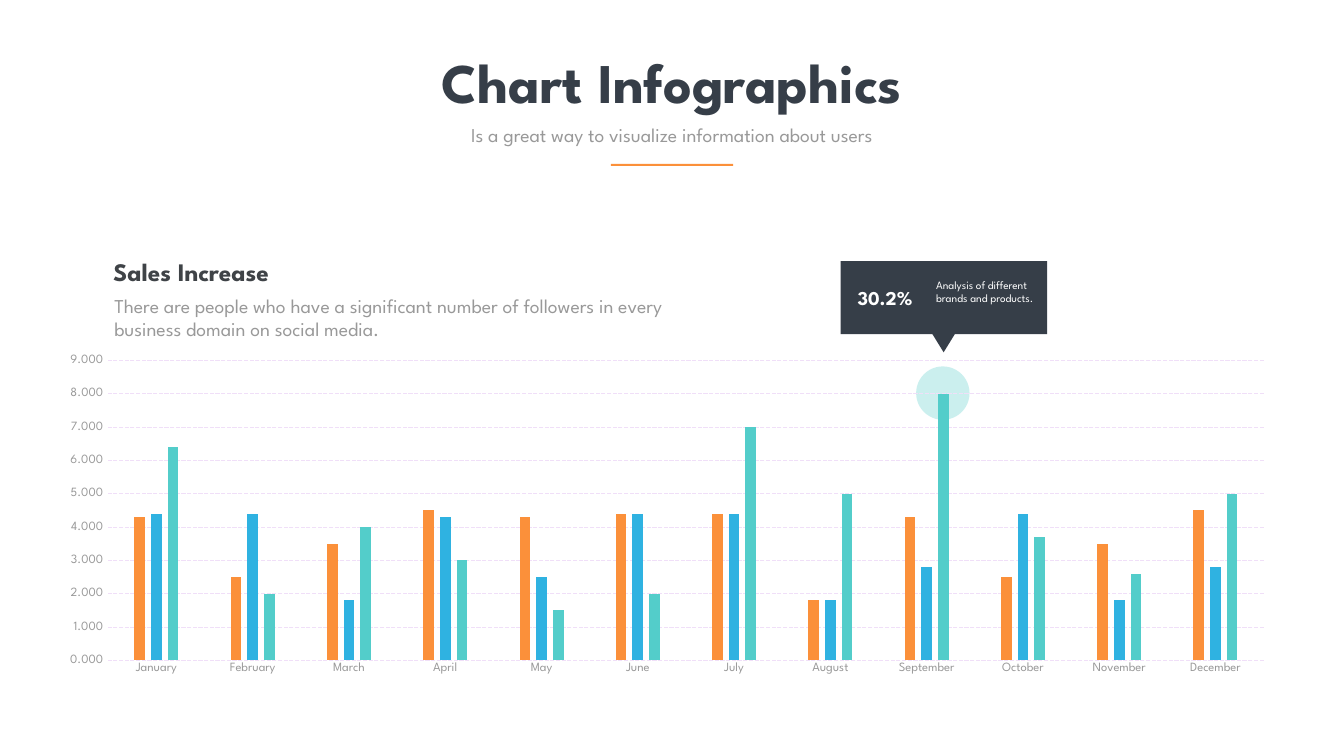
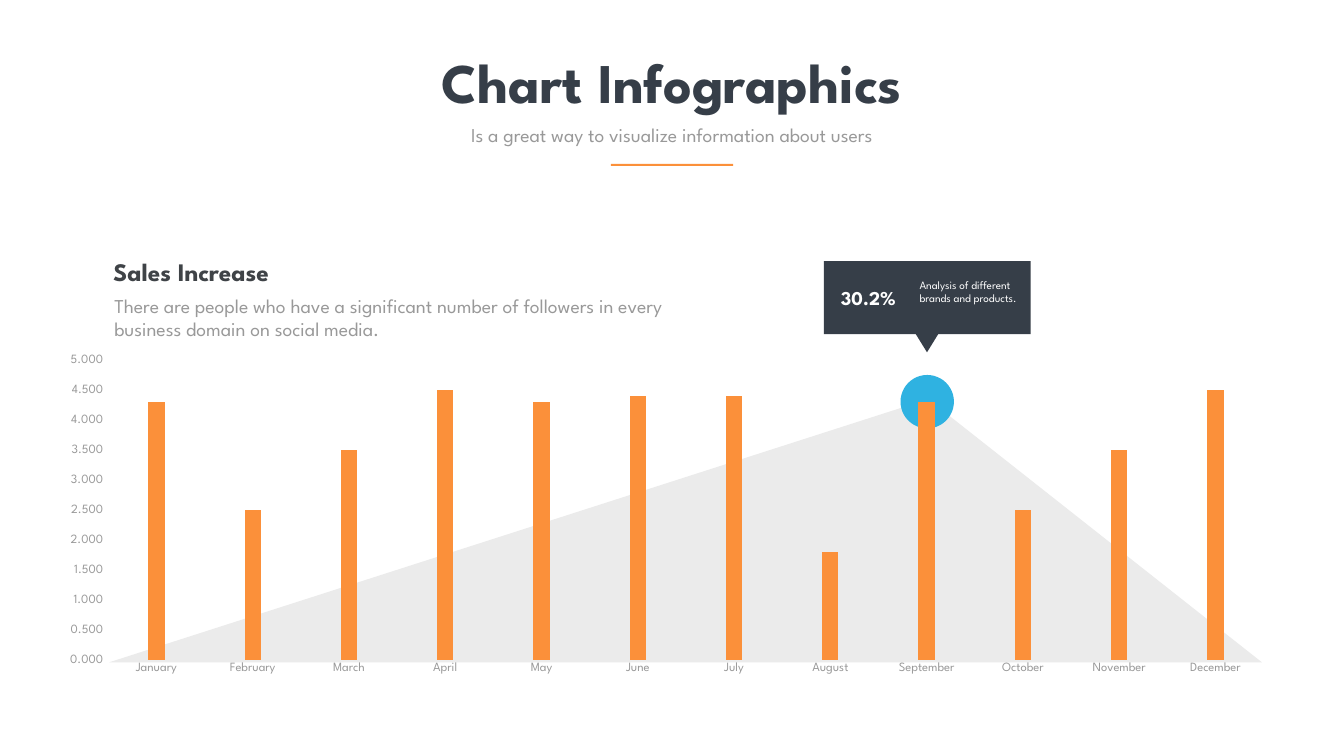
from lxml import etree
from pptx import Presentation
from pptx import util as u
from pptx.chart import data as chart_data
from pptx.dml.color import RGBColor
from pptx.enum import chart as ch, dml, shapes, text
from pptx.oxml import ns, parse_xml

# Shared style
FONT = "League Spartan"
WHITE = RGBColor(0xFF, 0xFF, 0xFF)
NAVY = RGBColor(0x36, 0x3E, 0x48)
CHARCOAL = RGBColor(0x3F, 0x43, 0x47)
GREY = RGBColor(0x99, 0x99, 0x99)
PALE_GREY = RGBColor(0xEB, 0xEB, 0xEB)
LILAC = RGBColor(0xF0, 0xDF, 0xF8)
ORANGE = RGBColor(0xFB, 0x90, 0x3A)
BLUE = RGBColor(0x2F, 0xB2, 0xE1)
TEAL = RGBColor(0x53, 0xCD, 0xCA)

MONTHS = ["January", "February", "March", "April", "May", "June", "July",
          "August", "September", "October", "November", "December"]
SERIES = [
    ("Series 1", [4.3, 2.5, 3.5, 4.5, 4.3, 4.4, 4.4, 1.8, 4.3, 2.5, 3.5, 4.5], ORANGE),
    ("Series 2", [4.4, 4.4, 1.8, 4.3, 2.5, 4.4, 4.4, 1.8, 2.8, 4.4, 1.8, 2.8], BLUE),
    ("Series 3", [6.4, 2, 4, 3, 1.5, 2, 7, 5, 8, 3.7, 2.6, 5], TEAL),
]
PLOT_AREA = {"x": 0.048, "y": 0.169, "w": 0.926, "h": 0.731}


def inches(*lengths):
    return [u.Inches(length) for length in lengths]


class Deck:
    """Holds the presentation, its style and the current slide."""

    def __init__(self):
        self.prs = Presentation()
        self.prs.slide_width, self.prs.slide_height = inches(26.67, 15)
        self.s = None

    def new_slide(self):
        self.s = self.prs.slides.add_slide(self.prs.slide_layouts[6])

    def paint(self, sp, color, alpha=None):
        sp.shadow.inherit = False
        sp.fill.solid()
        sp.fill.fore_color.rgb = color
        sp.line.fill.background()
        if alpha is not None:
            clr = sp.fill._xPr.find(".//" + ns.qn("a:srgbClr"))
            etree.SubElement(clr, ns.qn("a:alpha")).set("val", str(alpha * 1000))

    def shape(self, kind, box, color, alpha=None, rotation=0):
        sp = self.s.shapes.add_shape(kind, *inches(*box))
        sp.rotation = rotation
        self.paint(sp, color, alpha)

    def polygon(self, points, color):
        pts = [inches(*point) for point in points]
        fb = self.s.shapes.build_freeform(*pts[0])
        fb.add_line_segments(pts[1:], close=True)
        self.paint(fb.convert_to_shape(), color)

    def text(self, words, box, size, color, bold=False, align=None):
        tf = self.s.shapes.add_textbox(*inches(*box)).text_frame
        tf.word_wrap = True
        tf.auto_size = text.MSO_AUTO_SIZE.SHAPE_TO_FIT_TEXT
        tf.text = words
        p = tf.paragraphs[0]
        p.alignment = align
        font = p.runs[0].font
        font.name, font.size, font.bold = FONT, u.Pt(size), bold
        font.color.rgb = color
        return tf

    def header(self):
        center = text.PP_ALIGN.CENTER
        self.text("Chart Infographics", (6.88, 0.9, 12.91, 1.45), 80, NAVY, True, center)
        self.text("Is a great way to visualize information about users",
                  (8.55, 2.38, 9.56, 0.57), 28, GREY, align=center)
        self.shape(shapes.MSO_SHAPE.RECTANGLE, (12.12, 3.25, 2.43, 0.04), ORANGE)

    def intro(self):
        self.text("There are people who have a significant number of followers "
                  "in every business domain on social media.",
                  (2.17, 5.78, 12.04, 1.04), 28, GREY)
        tf = self.text("Sales Increase", (2.19, 5.18, 3.86, 0.54), 36, CHARCOAL, True)
        tf.vertical_anchor = text.MSO_ANCHOR.MIDDLE
        tf.margin_left = tf.margin_top = tf.margin_right = tf.margin_bottom = u.Inches(0.06)
        tf.paragraphs[0].line_spacing = 0.7

    def marker(self, left, top, color, alpha=None):
        self.shape(shapes.MSO_SHAPE.OVAL, (left, top, 1.06, 1.06), color, alpha)

    def callout(self, left):
        self.shape(shapes.MSO_SHAPE.RECTANGLE, (left, 5.18, 4.1, 1.45), NAVY)
        self.shape(shapes.MSO_SHAPE.ISOSCELES_TRIANGLE, (left + 1.7, 6.43, 0.69, 0.56),
                   NAVY, rotation=180)
        self.text("30.2%", (left + 0.24, 5.63, 1.8, 0.57), 28, WHITE, True)
        self.text("Analysis of different brands and products.",
                  (left + 1.8, 5.47, 2.14, 0.91), 16, WHITE)

    def columns(self, series, top_value, step, grid):
        data = chart_data.CategoryChartData()
        data.categories = MONTHS
        for name, values, _ in series:
            data.add_series(name, values)
        chart = self.s.shapes.add_chart(ch.XL_CHART_TYPE.COLUMN_CLUSTERED,
                                        *inches(0.96, 5.77, 24.76, 8.15), data).chart
        chart.has_title = chart.has_legend = False
        chart.font.name, chart.font.size = FONT, u.Pt(18)
        chart.font.color.rgb = GREY

        # Columns
        plot = chart.plots[0]
        plot.gap_width, plot.overlap = 491, -57
        plot.vary_by_categories = False
        for column, (_, _, color) in zip(plot.series, series):
            column.format.fill.solid()
            column.format.fill.fore_color.rgb = color

        # Axes
        values = chart.value_axis
        for axis in (chart.category_axis, values):
            axis.major_tick_mark = axis.minor_tick_mark = ch.XL_TICK_MARK.NONE
            axis.format.line.fill.background()
        values.minimum_scale, values.maximum_scale, values.major_unit = 0, top_value, step
        values.tick_labels.number_format = r"#,##0.000_);\(#,##0.000\)"
        values.tick_labels.number_format_is_linked = False
        values.has_major_gridlines = grid
        if grid:
            line = values.major_gridlines.format.line
            line.color.rgb, line.width = LILAC, u.Pt(0.75)
            line.dash_style = dml.MSO_LINE.LONG_DASH

        # Fixed inner plot area
        area = chart._chartSpace.find(".//" + ns.qn("c:plotArea"))
        for old in area.findall(ns.qn("c:layout")):
            area.remove(old)
        modes = "".join(f'<c:{k}Mode val="edge"/>' for k in "xy")
        sizes = "".join(f'<c:{k} val="{v}"/>' for k, v in PLOT_AREA.items())
        area.insert(0, parse_xml(
            f'<c:layout {ns.nsdecls("c")}><c:manualLayout><c:layoutTarget val="inner"/>'
            f'{modes}{sizes}</c:manualLayout></c:layout>'))


def main():
    deck = Deck()

    # Slide 1: three series
    deck.new_slide()
    deck.marker(18.18, 7.27, TEAL, alpha=30)
    deck.header()
    deck.columns(SERIES, 9, 1, grid=True)
    deck.callout(16.68)
    deck.intro()

    # Slide 2: one series over a peak
    deck.new_slide()
    deck.polygon([(2.17, 13.14), (18.42, 7.92), (25.04, 13.14)], PALE_GREY)
    deck.marker(17.87, 7.44, BLUE)
    deck.header()
    deck.columns(SERIES[:1], 5, 0.5, grid=False)
    deck.callout(16.35)
    deck.intro()

    deck.prs.save("out.pptx")


if __name__ == "__main__":
    main()
